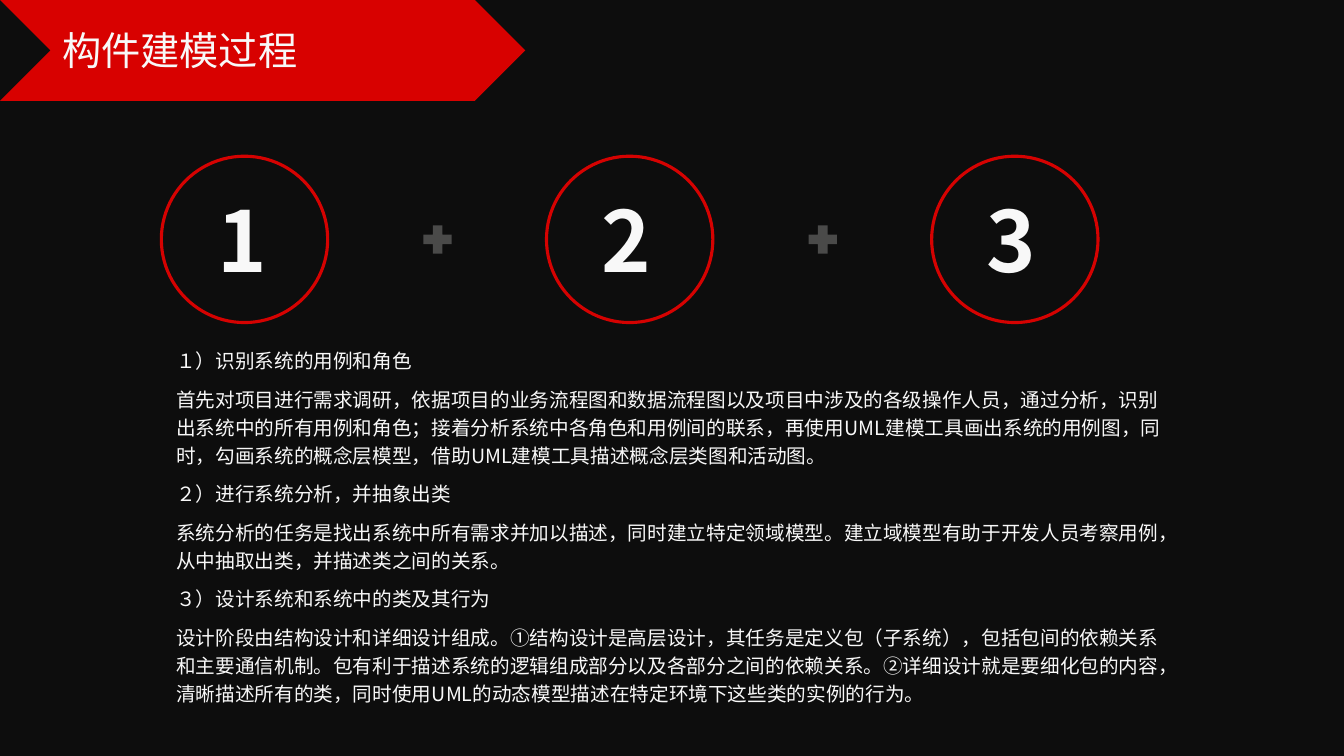
from lxml import etree
from pptx import Presentation
from pptx.dml.color import RGBColor
from pptx.enum.shapes import MSO_SHAPE
from pptx.oxml.ns import qn
from pptx.util import Inches, Pt

RECTANGLE = MSO_SHAPE.RECTANGLE
CHEVRON = MSO_SHAPE.CHEVRON
OVAL = MSO_SHAPE.OVAL
CROSS = MSO_SHAPE.CROSS

TITLE = "构件建模过程"
STEPS = ["1", "2", "3"]
BODY = [
    "１）识别系统的用例和角色",
    "首先对项目进行需求调研，依据项目的业务流程图和数据流程图以及项目中涉及的各级操作人员，通过分析，识别出系统中的所有用例和角色；接着分析系统中各角色和用例间的联系，再使用UML建模工具画出系统的用例图，同时，勾画系统的概念层模型，借助UML建模工具描述概念层类图和活动图。",
    "２）进行系统分析，并抽象出类",
    "系统分析的任务是找出系统中所有需求并加以描述，同时建立特定领域模型。建立域模型有助于开发人员考察用例，从中抽取出类，并描述类之间的关系。",
    "３）设计系统和系统中的类及其行为",
    "设计阶段由结构设计和详细设计组成。①结构设计是高层设计，其任务是定义包（子系统），包括包间的依赖关系和主要通信机制。包有利于描述系统的逻辑组成部分以及各部分之间的依赖关系。②详细设计就是要细化包的内容，清晰描述所有的类，同时使用UML的动态模型描述在特定环境下这些类的实例的行为。",
]
FONT = "Noto Sans CJK SC"
COLORS = {"page": "F8F8F8", "dark": "0D0D0D", "banner": "D80100",
          "ring": "D50201", "plus": "4A4A49", "text": "F8F8F8"}
WIDTH, HEIGHT = 13.33, 7.5
STEP_PITCH = 3.82
RING_LEFT, RING_TOP, RING_SIZE = 1.6, 1.55, 1.65
PLUS_LEFT, PLUS_SIZE = 4.2, 0.28
NUMBER_LEFT, NUMBER_PITCH = 1.87, 3.81


def color(name):
    return RGBColor.from_string(COLORS[name])


def add_shape(slide, kind, left, top, width, height, fill=None, line=None):
    sp = slide.shapes.add_shape(kind, Inches(left), Inches(top),
                                Inches(width), Inches(height))
    sp.shadow.inherit = False
    if fill:
        sp.fill.solid()
        sp.fill.fore_color.rgb = color(fill)
    else:
        sp.fill.background()
    if line:
        sp.line.color.rgb = color(line)
        sp.line.width = Pt(2.25)
    else:
        sp.line.fill.background()
    return sp


def add_text(slide, lines, left, top, width, height, size, bold=False):
    sp = slide.shapes.add_textbox(Inches(left), Inches(top),
                                  Inches(width), Inches(height))
    tf = sp.text_frame
    tf.word_wrap = True
    tf.text = "\n".join(lines)
    for p in tf.paragraphs:
        for r in p.runs:
            r.font.size = Pt(size)
            r.font.bold = bold
            r.font.name = FONT
            r.font.color.rgb = color("text")
            ea = etree.SubElement(r.font._element, qn("a:ea"))
            ea.set("typeface", FONT)
    return tf


prs = Presentation()
prs.slide_width, prs.slide_height = Inches(WIDTH), Inches(HEIGHT)
s = prs.slides.add_slide(prs.slide_layouts[6])
s.background.fill.solid()
s.background.fill.fore_color.rgb = color("page")

add_shape(s, RECTANGLE, 0, 0, WIDTH, HEIGHT, fill="dark")
add_shape(s, CHEVRON, 0, 0, 5.21, 1, fill="banner")
add_text(s, [TITLE], 0.52, 0.21, 3.81, 0.57, 28)

body = add_text(s, BODY, 1.65, 3.37, 10.03, 3.71, 14)
for p in body.paragraphs:
    p.line_spacing = 1.2
    p.space_after = Pt(7.2)

plus_top = RING_TOP + (RING_SIZE - PLUS_SIZE) / 2
for i, step in enumerate(STEPS):
    add_shape(s, OVAL, RING_LEFT + i * STEP_PITCH, RING_TOP,
              RING_SIZE, RING_SIZE, line="ring")
    number = add_text(s, [step], NUMBER_LEFT + i * NUMBER_PITCH, 1.82,
                      1.21, 1.11, 60, bold=True)
    number.margin_left = Inches(0.29)
    if i < len(STEPS) - 1:
        plus = add_shape(s, CROSS, PLUS_LEFT + i * STEP_PITCH, plus_top,
                         PLUS_SIZE, PLUS_SIZE, fill="plus")
        plus.adjustments[0] = 0.33

prs.save("out.pptx")
